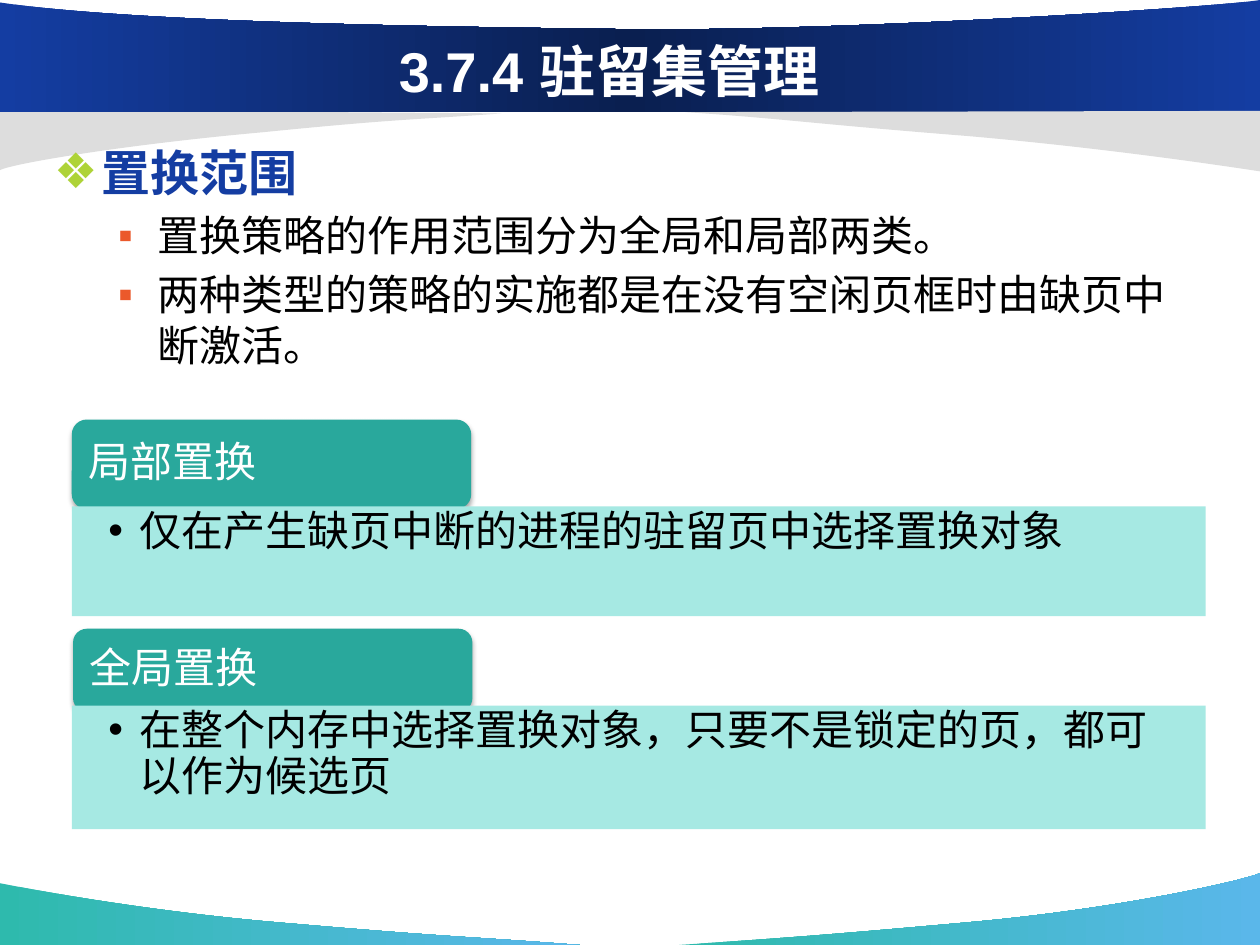
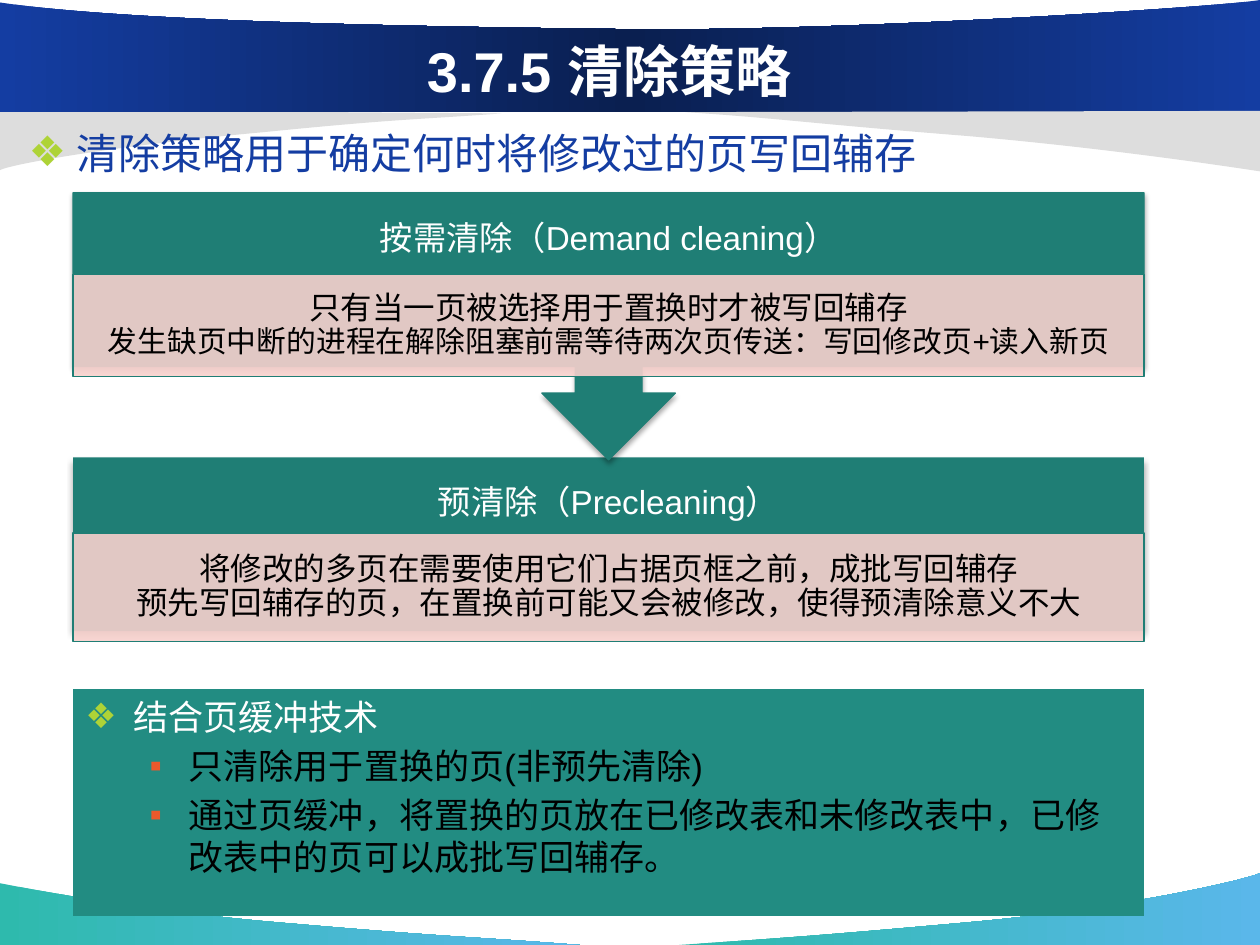
"""Build two slides on resident set management and cleaning policy."""
from copy import deepcopy
from dataclasses import dataclass, field

from lxml import etree
from pptx import Presentation
from pptx import util as u
from pptx.dml.color import RGBColor
from pptx.enum import shapes, text
from pptx.oxml import ns

FONT = "Arial"
HUES = {
    "white": "FFFFFF", "black": "000000", "blue": "143DA2", "navy": "0A1F50",
    "grey": "DDDDDD", "mint": "2EBAAD", "sky": "5AB7EA", "lime": "AED337",
    "orange": "EB592B", "teal": "29A89C", "pale": "A6E9E3", "deep": "1F7E75",
    "green": "228C82", "pink": "F7D1CD",
}
KINDS = shapes.MSO_SHAPE
MID, TOP = text.MSO_ANCHOR.MIDDLE, text.MSO_ANCHOR.TOP
LEFT, CENTER = text.PP_ALIGN.LEFT, text.PP_ALIGN.CENTER


@dataclass
class Mark:
    sign: str
    hue: str
    margin: float
    hang: float
    level: int


@dataclass
class Para:
    words: str
    size: float
    hue: str = "black"
    mark: str = ""
    bold: bool = False
    form: dict = field(default_factory=dict)


@dataclass
class Box:
    area: tuple
    paras: list = field(default_factory=list)
    kind: object = None
    fill: str = ""
    line: str = ""
    alpha: int = 100
    shade: bool = False
    turn: int = 0
    anchor: object = TOP
    pads: tuple = (0.1, 0.05, 0.1, 0.05)


@dataclass
class Band:
    start: tuple
    steps: list
    fills: list


MARKS = {
    "main": Mark("❖", "lime", 0.38, -0.38, 0),
    "sub": Mark("▪", "orange", 0.82, -0.31, 1),
    "dot": Mark("•", "black", 0.25, -0.25, 1),
}
BANDS = [
    Band((4.6, 7.5), [(3.84, 7.44, 3.58, 7.44, 2.32, 7.33),
                      (1.06, 7.23, 0.01, 7.01, 0, 7.01), (0, 7.5)], ["mint", "sky"]),
    Band((5.39, 7.5), [(6.14, 7.45, 6.46, 7.43, 7.69, 7.32),
                       (8.92, 7.21, 9.9, 6.98, 10, 6.93), (10, 7.5)], ["mint", "sky"]),
    Band((3.98, 0.9), [(3.31, 0.95, 3.18, 0.94, 2.08, 1.05),
                       (0.97, 1.15, 0.09, 1.3, 0, 1.35), (0, 0.87)], ["grey"]),
    Band((0, 0.89), [(10, 0.89), (10, 0), (9.64, 0.06, 6.53, 0.26, 4.87, 0.23),
                     (3.21, 0.21, 1.01, 0.17, 0, 0.02)], ["blue", "navy", "blue"]),
    Band((5.44, 0.89), [(6.2, 0.94, 6.42, 0.98, 7.68, 1.08),
                        (8.94, 1.19, 9.99, 1.36, 10, 1.36), (10, 0.88)], ["grey"]),
]


def rgb(name: str) -> RGBColor:
    return RGBColor.from_string(HUES[name])


def node(parent, tag: str, **attrs):
    return etree.SubElement(parent, ns.qn(f"a:{tag}"), attrs)


def apply(target, form: dict) -> None:
    for name, value in form.items():
        setattr(target, name, value)


def bend(shape, steps: list) -> None:
    """Turn the three lines of each six-number step into one curve."""
    lines = iter(shape._element.findall(f".//{ns.qn('a:lnTo')}"))
    for step in steps:
        parts = [next(lines) for _ in range(len(step) // 2)]
        if len(parts) == 3:
            arc = etree.Element(ns.qn("a:cubicBezTo"))
            parts[0].addprevious(arc)
            for part in parts:
                arc.append(part[0])
                part.getparent().remove(part)


def paint(shape, hues: list) -> None:
    fill = shape.fill
    if len(hues) == 1:
        fill.solid()
        fill.fore_color.rgb = rgb(hues[0])
        return
    fill.gradient()
    fill.gradient_angle = 0
    stops = shape._element.spPr.find(f".//{ns.qn('a:gsLst')}")
    for _ in hues[2:]:
        stops.insert(1, deepcopy(stops[0]))
    for i, (stop, hue) in enumerate(zip(fill.gradient_stops, hues)):
        apply(stop, {"position": i / (len(hues) - 1)})
        stop.color.rgb = rgb(hue)


def draw_band(slide, band: Band) -> None:
    points = [band.start]
    for step in band.steps:
        points += zip(step[::2], step[1::2])
    spots = [(u.Inches(x), u.Inches(y)) for x, y in points]
    pen = slide.shapes.build_freeform(*spots[0], scale=1.0)
    pen.add_line_segments(spots[1:], close=True)
    shape = pen.convert_to_shape()
    bend(shape, band.steps)
    shape.shadow.inherit = False
    shape.line.fill.background()
    paint(shape, band.fills)


def share_bands(slide) -> None:
    """Draw the bands once and move them to the layout."""
    layout = slide.slide_layout
    for holder in list(layout.placeholders):
        holder._element.getparent().remove(holder._element)
    for band in BANDS:
        draw_band(slide, band)
    for shape in list(slide.shapes):
        layout.shapes._spTree.append(shape._element)


def write(frame, paras: list) -> None:
    for i, para in enumerate(paras):
        line = frame.add_paragraph() if i else frame.paragraphs[0]
        form = {"alignment": LEFT, **para.form}
        if para.mark:
            mark = MARKS[para.mark]
            props = line._p.get_or_add_pPr()
            props.set("marL", str(u.Inches(mark.margin)))
            props.set("indent", str(u.Inches(mark.hang)))
            node(node(props, "buClr"), "srgbClr", val=HUES[mark.hue])
            node(props, "buFont", typeface=FONT)
            node(props, "buChar", char=mark.sign)
            form["level"] = mark.level
            if i:
                form["space_before"] = u.Pt(round(para.size * 0.2))
        apply(line, form)
        run = line.add_run()
        run.text = para.words
        apply(run.font, {"name": FONT, "size": u.Pt(para.size), "bold": para.bold})
        run.font.color.rgb = rgb(para.hue)


def dress(shape, box: Box) -> None:
    shape.shadow.inherit = False
    shape.rotation = box.turn
    paint(shape, [box.fill])
    props = shape._element.spPr
    if box.alpha < 100:
        tint = props.find(f"{ns.qn('a:solidFill')}/{ns.qn('a:srgbClr')}")
        node(tint, "alpha", val=str(box.alpha * 1000))
    if box.line:
        shape.line.color.rgb = rgb(box.line)
        shape.line.width = u.Pt(0.75)
    else:
        shape.line.fill.background()
    if box.shade:
        cast = node(props.find(ns.qn("a:effectLst")), "outerShdw",
                    blurRad=str(u.Pt(3.1)), dist=str(u.Pt(1.8)),
                    dir="5400000", rotWithShape="0")
        node(node(cast, "srgbClr", val=HUES["black"]), "alpha", val="35000")


def draw_box(slide, box: Box) -> None:
    area = [u.Inches(v) for v in box.area]
    if box.kind is None:
        shape = slide.shapes.add_textbox(*area)
    else:
        shape = slide.shapes.add_shape(box.kind, *area)
        dress(shape, box)
    if box.paras:
        sides = ("margin_left", "margin_top", "margin_right", "margin_bottom")
        pads = {side: u.Inches(pad) for side, pad in zip(sides, box.pads)}
        apply(shape.text_frame, {"word_wrap": True, "vertical_anchor": box.anchor, **pads})
        write(shape.text_frame, box.paras)


def make_slide(deck, title: str, boxes: list) -> None:
    slide = deck.slides.add_slide(deck.slide_layouts[6])
    if len(deck.slides) == 1:
        share_bands(slide)
    head = Para(title, 32, "white", bold=True, form={"alignment": CENTER})
    for box in [Box((0.92, 0.25, 7.83, 0.62), [head], anchor=MID), *boxes]:
        draw_box(slide, box)


def scope(head: str, body: str, left: float, top: float, tall: float,
          base: float, deep: float) -> list:
    tight = {"line_spacing": 0.9}
    return [
        Box((left, top, 3.17, tall), [Para(head, 24, "white", form=tight)],
            KINDS.ROUNDED_RECTANGLE, "teal", shade=True, anchor=MID, pads=(0.1,) * 4),
        Box((0.57, base, 9, deep), [Para(body, 24, mark="dot", form=tight)],
            KINDS.RECTANGLE, "pale", pads=(0.29, 0.03, 0.19, 0.03)),
    ]


def policy(head: str, lines: list, frame: Box, base: float, deep: float) -> list:
    form = {"alignment": CENTER, "line_spacing": 0.9}
    left, top, wide, _ = frame.area
    return [
        frame,
        Box((left, top, wide, 0.74), [Para(head, 19, "white", form=form)],
            anchor=MID, pads=(0.15,) * 4),
        Box((left, base, wide, deep), [Para(words, size, form=form) for words, size in lines],
            KINDS.RECTANGLE, "pink", "deep", 90, anchor=MID,
            pads=(0.14, 0.03, 0.14, 0.03)),
    ]


def main() -> None:
    deck = Presentation()
    apply(deck, {"slide_width": u.Inches(10), "slide_height": u.Inches(7.5)})
    make_slide(deck, "3.7.4 驻留集管理", [
        Box((0.33, 1.08, 9.24, 5.67), [
            Para("置换范围", 28, "blue", "main", True),
            Para("置换策略的作用范围分为全局和局部两类。", 24, mark="sub"),
            Para("两种类型的策略的实施都是在没有空闲页框时由缺页中断激活。", 24, mark="sub"),
        ]),
        *scope("局部置换", "仅在产生缺页中断的进程的驻留页中选择置换对象",
               0.57, 3.33, 0.71, 4.02, 0.87),
        *scope("全局置换", "在整个内存中选择置换对象，只要不是锁定的页，都可以作为候选页",
               0.58, 4.99, 0.66, 5.6, 0.98),
    ])
    make_slide(deck, "3.7.5 清除策略", [
        Box((0.13, 0.96, 9.17, 5.42),
            [Para("清除策略用于确定何时将修改过的页写回辅存", 24, "blue", "main")]),
        *policy("预清除（Precleaning）", [
            ("将修改的多页在需要使用它们占据页框之前，成批写回辅存", 18),
            ("预先写回辅存的页，在置换前可能又会被修改，使得预清除意义不大", 18),
        ], Box((0.58, 3.63, 8.5, 1.38), kind=KINDS.RECTANGLE, fill="deep", shade=True),
            4.23, 0.86),
        *policy("按需清除（Demand cleaning）", [
            ("只有当一页被选择用于置换时才被写回辅存", 18),
            ("发生缺页中断的进程在解除阻塞前需等待两次页传送：写回修改页+读入新页", 17),
        ], Box((0.58, 1.53, 8.5, 2.12), kind=KINDS.UP_ARROW_CALLOUT, fill="deep",
               line="deep", shade=True, turn=180), 2.18, 0.81),
        Box((0.58, 5.47, 8.5, 1.8), [
            Para("结合页缓冲技术", 20, "white", "main"),
            Para("只清除用于置换的页(非预先清除)", 20, mark="sub"),
            Para("通过页缓冲，将置换的页放在已修改表和未修改表中，"
                 "已修改表中的页可以成批写回辅存。", 20, mark="sub"),
        ], KINDS.RECTANGLE, "green"),
    ])
    deck.save("out.pptx")


if __name__ == "__main__":
    main()
